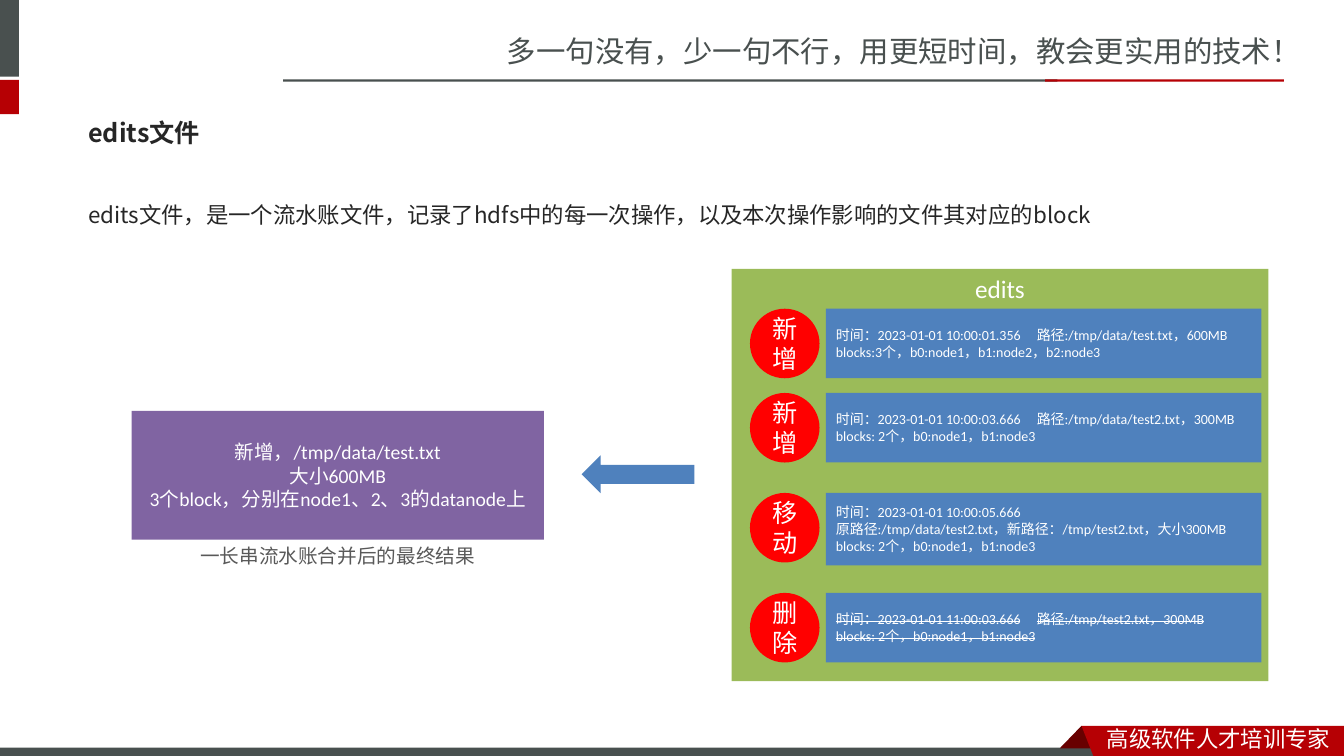
from dataclasses import dataclass

from lxml.etree import SubElement
from pptx import Presentation
from pptx.dml.color import RGBColor
from pptx.enum.shapes import MSO_SHAPE as Kind
from pptx.enum.text import MSO_ANCHOR as Anchor, PP_ALIGN as Align
from pptx.oxml.ns import qn
from pptx.util import Pt


@dataclass(frozen=True)
class Theme:
    white: str = "FFFFFF"
    gray: str = "49504F"
    crimson: str = "B60004"
    maroon: str = "680000"
    ink: str = "262626"
    soft: str = "595959"
    green: str = "9BBB59"
    red: str = "FF0000"
    blue: str = "4F81BD"
    purple: str = "8064A2"
    slogan: int = 21
    head: int = 18
    body: int = 16
    note: int = 14
    small: int = 10
    sans: str = "Noto Sans CJK SC"
    bold: str = "Noto Sans CJK JP"
    latin: str = "Calibri"


theme = Theme()
deck = Presentation()
deck.slide_width, deck.slide_height = Pt(960), Pt(540)
slide = deck.slides.add_slide(deck.slide_layouts[6])
shapes = slide.shapes


def paint(shape, fill):
    shape.shadow.inherit = False
    shape.fill.solid()
    shape.fill.fore_color.rgb = RGBColor.from_string(fill)
    shape.line.fill.background()
    return shape


def write(text, box=None, shape=None, size=theme.small, font=theme.latin,
          color=theme.white, bold=False, strike=False, align=Align.LEFT,
          anchor=Anchor.TOP, space=None, tab=None):
    """Put text, one paragraph a line, in a shape or in a new text box."""
    shape = shape or shapes.add_textbox(*map(Pt, box))
    frame = shape.text_frame
    frame.word_wrap = True
    frame.vertical_anchor = anchor
    for i, line in enumerate(text.split("\n")):
        para = frame.add_paragraph() if i else frame.paragraphs[0]
        para.alignment = align
        if space:
            para.line_spacing = space
        if tab and "\t" in line:
            stops = SubElement(para._p.get_or_add_pPr(), qn("a:tabLst"))
            SubElement(stops, qn("a:tab"), pos=str(Pt(tab)), algn="l")
        run = para.add_run()
        run.text = line
        run.font.size = Pt(size)
        run.font.name = font
        run.font.bold = bold
        run.font.color.rgb = RGBColor.from_string(color)
        props = run.font._element
        SubElement(props, qn("a:ea"), typeface=font)
        if strike:
            props.set("strike", "sngStrike")


# Header and footer
write("多一句没有，少一句不行，用更短时间，教会更实用的技术！",
      (355, 20, 605, 33), size=theme.slogan, font=theme.sans, color=theme.gray)
bars = [
    ((0, 0, 13.5, 54.75), theme.gray),
    ((0, 57, 13.5, 24.5), theme.crimson),
    ((202.3, 56.7, 553, 1.6), theme.gray),
    ((746.6, 56.7, 170.6, 1.6), theme.crimson),
    ((0, 534, 791, 6), theme.gray),
]
for box, fill in bars:
    paint(shapes.add_shape(Kind.RECTANGLE, *map(Pt, box)), fill)

ribbon = [
    ([(772.5, 518.5), (788.5, 534.5), (757, 534.5)], theme.maroon),
    ([(772.5, 518.5), (960, 518.5), (960, 540), (781, 540)], theme.crimson),
]
for points, fill in ribbon:
    start, *rest = [(Pt(x), Pt(y)) for x, y in points]
    path = shapes.build_freeform(*start)
    path.add_line_segments(rest, close=True)
    paint(path.convert_to_shape(), fill)
write("高级软件人才培训专家", (783.5, 514.5, 176.5, 27),
      size=theme.body, font=theme.sans)

# Title and body
write("edits文件", (56, 74, 842, 41), size=theme.head, font=theme.bold,
      color=theme.ink, bold=True, anchor=Anchor.MIDDLE)
write("edits文件，是一个流水账文件，记录了hdfs中的每一次操作，以及本次操作影响的文件其对应的block",
      (56, 130.5, 842, 69), size=theme.body, font=theme.bold,
      color=theme.ink, space=1.5)

# Edits log
panel = shapes.add_shape(Kind.RECTANGLE, Pt(522.5), Pt(192), Pt(383.5), Pt(294.5))
write("edits", shape=paint(panel, theme.green), size=theme.head, align=Align.CENTER)
side = 49.7
log = [
    (220.5, side, "新增",
     "时间：2023-01-01 10:00:01.356\t路径:/tmp/data/test.txt，600MB\n"
     "blocks:3个，b0:node1，b1:node2，b2:node3"),
    (280.7, side, "新增",
     "时间：2023-01-01 10:00:03.666\t路径:/tmp/data/test2.txt，300MB\n"
     "blocks: 2个，b0:node1，b1:node3"),
    (352.1, 51.8, "移动",
     "时间：2023-01-01 10:00:05.666\n"
     "原路径:/tmp/data/test2.txt，新路径：/tmp/test2.txt，大小300MB\n"
     "blocks: 2个，b0:node1，b1:node3"),
    (423.5, side, "删除",
     "时间：2023-01-01 11:00:03.666\t路径:/tmp/test2.txt，300MB\n"
     "blocks: 2个，b0:node1，b1:node3"),
]
for top, height, action, entry in log:
    dot = shapes.add_shape(Kind.OVAL, Pt(535.7), Pt(top), Pt(side), Pt(side))
    write(action, shape=paint(dot, theme.red), size=theme.head,
          align=Align.CENTER, anchor=Anchor.MIDDLE)
    row = shapes.add_shape(Kind.RECTANGLE, Pt(590), Pt(top), Pt(311), Pt(height))
    write(entry, shape=paint(row, theme.blue), anchor=Anchor.MIDDLE,
          strike=action == "删除", tab=143.5)

# Merged result
result = shapes.add_shape(Kind.RECTANGLE, Pt(94), Pt(293.5), Pt(294.5), Pt(92))
write("新增，/tmp/data/test.txt\n大小600MB\n3个block，分别在node1、2、3的datanode上",
      shape=paint(result, theme.purple), size=theme.note,
      align=Align.CENTER, anchor=Anchor.MIDDLE)
arrow = shapes.add_shape(Kind.LEFT_ARROW, Pt(415.5), Pt(325.3), Pt(80.5), Pt(27))
paint(arrow, theme.blue)
write("一长串流水账合并后的最终结果", (81.5, 385, 319.5, 24.5), size=theme.note,
      font=theme.sans, color=theme.soft, align=Align.CENTER)

deck.save("out.pptx")
